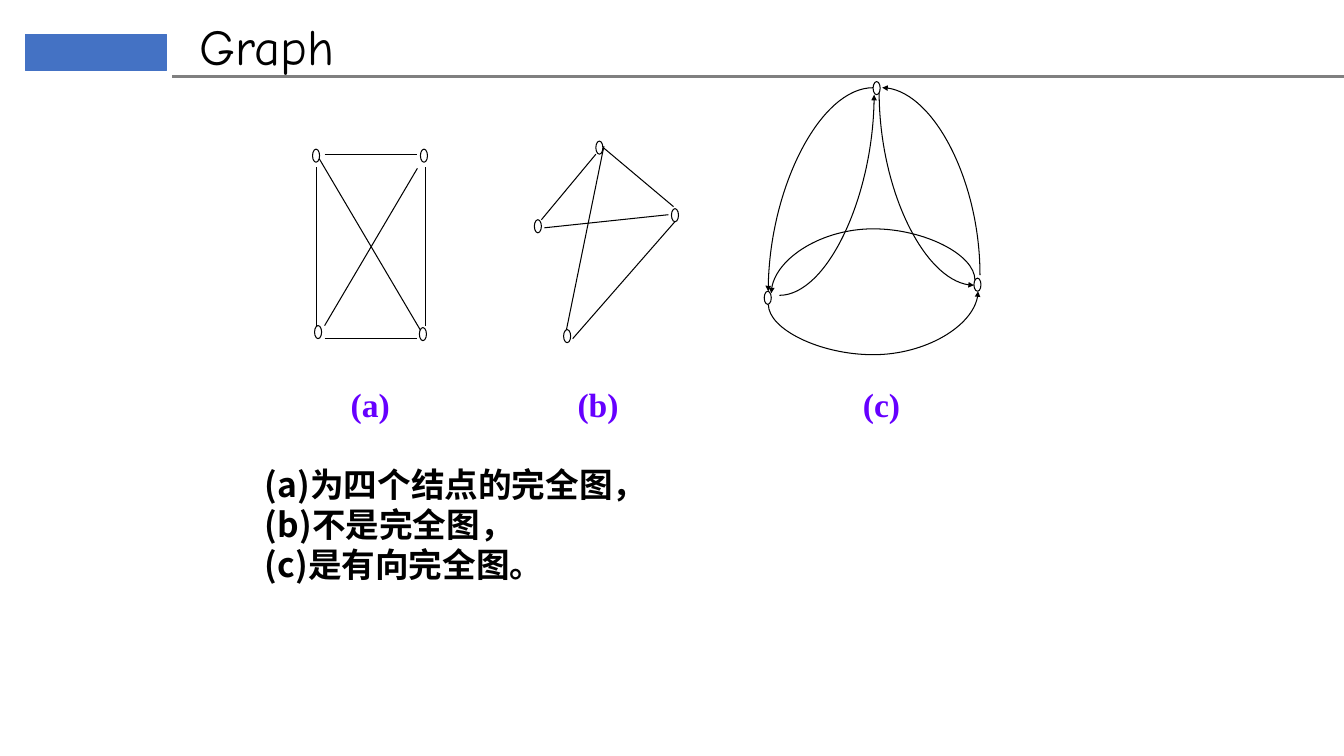
from collections import namedtuple

from lxml import etree
from pptx import Presentation
from pptx.dml.color import RGBColor
from pptx.enum.shapes import MSO_CONNECTOR, MSO_SHAPE
from pptx.enum.text import PP_ALIGN
from pptx.oxml.ns import qn
from pptx.util import Pt

STRAIGHT, CURVE = MSO_CONNECTOR.STRAIGHT, MSO_CONNECTOR.CURVE
OVAL, RECTANGLE = MSO_SHAPE.OVAL, MSO_SHAPE.RECTANGLE
LEFT, JUSTIFY = PP_ALIGN.LEFT, PP_ALIGN.JUSTIFY
PX = 9144
NODE_WIDTH, NODE_HEIGHT = 7, 13

Box = namedtuple("Box", "left top width height")
Graph = namedtuple("Graph", "box label label_box nodes edges arcs loops")


class Theme:
    """Colours, line widths and text formats of the slide."""

    ink = RGBColor(0x00, 0x00, 0x00)
    paper = RGBColor(0xFF, 0xFF, 0xFF)
    rule = RGBColor(0x80, 0x80, 0x80)
    blue = RGBColor(0x44, 0x72, 0xC4)
    violet = RGBColor(0x66, 0x00, 0xFF)
    thin, thick = Pt(0.75), Pt(2)
    title = {"name": "Comic Neue", "size": Pt(36), "bold": False}
    label = {"name": "Times New Roman", "size": Pt(24), "bold": True}
    body = {"name": "Noto Sans CJK SC", "size": Pt(24), "bold": True}


GRAPHS = [
    Graph(
        Box(310, 148, 114, 190), "(a)", Box(28, 228, 59, 50),
        nodes=[(0, 0), (107, 0), (2, 175), (106, 177)],
        edges=[(12, 5, 104, 5), (4, 18, 4, 175), (12, 188, 104, 188),
               (112, 18, 112, 175), (4, 5, 112, 188), (12, 175, 104, 19)],
        arcs=[], loops=[],
    ),
    Graph(
        Box(530, 140, 143, 200), "(b)", Box(33, 236, 61, 50),
        nodes=[(61, 0), (136, 67), (0, 78), (29, 187)],
        edges=[(7, 78, 61, 13), (69, 7, 138, 65), (10, 86, 133, 73),
               (142, 77, 38, 196), (69, 5, 30, 196)],
        arcs=[], loops=[],
    ),
    Graph(
        Box(758, 81, 215, 271), "(c)", Box(88, 295, 57, 50),
        nodes=[(108, 0), (208, 195), (0, 208)],
        edges=[],
        arcs=[(108, 6, 4, 208, "tailEnd"), (117, 6, 214, 192, "headEnd"),
              (15, 212, 109, 13, "tailEnd"), (208, 202, 114, 10, "headEnd")],
        loops=[(4, 221, 212, 208, 50), (209, 197, 7, 210, 51)],
    ),
]

STATEMENTS = ["(a)为四个结点的完全图，", "(b)不是完全图，", "(c)是有向完全图。"]


def add_text(slide, box, lines, font, color, wrap=True, align=LEFT):
    """Add a text box with one paragraph per line."""
    frame = slide.shapes.add_textbox(*(value * PX for value in box)).text_frame
    frame.word_wrap = wrap
    frame.text = "\n".join(lines)
    for paragraph in frame.paragraphs:
        paragraph.alignment = align
        run = paragraph.runs[0]
        for name, value in font.items():
            setattr(run.font, name, value)
        run.font.color.rgb = color
        etree.SubElement(run.font._element, qn("a:ea"), typeface=font["name"])


def add_line(slide, kind, points, color=Theme.ink, width=Theme.thin, arrow=None):
    """Add a connector, with a triangle at the named end if there is one."""
    line = slide.shapes.add_connector(kind, *(round(value * PX) for value in points))
    line.line.color.rgb = color
    line.line.width = width
    if arrow:
        etree.SubElement(line.line._get_or_add_ln(), qn(f"a:{arrow}"),
                         type="triangle", w="sm", len="sm")
    etree.SubElement(line._element.spPr, qn("a:effectLst"))
    return line


def add_arc(slide, points, arrow):
    """Add a quarter curve that leaves its first point horizontally."""
    arc = add_line(slide, CURVE, points, arrow=arrow)
    arc._element.spPr.find(qn("a:prstGeom")).set("prst", "curvedConnector2")


def add_loop(slide, points, bulge):
    """Add a directed curve that bulges past both ends vertically."""
    start_x, start_y, end_x, end_y = points
    middle_x, middle_y = (start_x + end_x) / 2, (start_y + end_y) / 2
    across, rise = abs(end_x - start_x) / 2, abs(end_y - start_y) / 2
    turned = (middle_x + rise, middle_y + across, middle_x - rise, middle_y - across)
    loop = add_line(slide, CURVE, turned, arrow="tailEnd")
    properties = loop._element.spPr
    angle = 90 if end_x > start_x else 270
    properties.find(qn("a:xfrm")).set("rot", str(angle * 60000))
    guides = properties.find(qn("a:prstGeom")).find(qn("a:avLst"))
    ratio = round(-bulge / (2 * rise) * 100000)
    etree.SubElement(guides, qn("a:gd"), name="adj1", fmla=f"val {ratio}")


def add_filled_shape(slide, kind, box, fill, outline):
    """Add a flat preset shape with a thin outline."""
    shape = slide.shapes.add_shape(kind, *(value * PX for value in box))
    shape.shadow.inherit = False
    shape.fill.solid()
    shape.fill.fore_color.rgb = fill
    shape.line.color.rgb = outline
    shape.line.width = Theme.thin


def add_header(slide, box):
    """Place the corner block, the title and the rule in the header box."""
    left, top, width, _ = box
    add_filled_shape(slide, RECTANGLE, Box(left + 25, top + 34, 140, 36),
                     Theme.blue, Theme.blue)
    add_line(slide, STRAIGHT, (left + 171, top + 76, left + width, top + 76),
             Theme.rule, Theme.thick)
    add_text(slide, Box(left + 188, top + 10, 862, 71), ["Graph"],
             Theme.title, Theme.ink)


def add_graph(slide, graph):
    """Place the edges, vertices and label of one graph in its box."""
    left, top = graph.box.left, graph.box.top

    def shift(points):
        """Move pairs of coordinates into the box."""
        return [value + (top if index % 2 else left)
                for index, value in enumerate(points)]

    for edge in graph.edges:
        add_line(slide, STRAIGHT, shift(edge))
    for *points, bulge in graph.loops:
        add_loop(slide, shift(points), bulge)
    for *points, arrow in graph.arcs:
        add_arc(slide, shift(points), arrow)
    for node in graph.nodes:
        add_filled_shape(slide, OVAL, Box(*shift(node), NODE_WIDTH, NODE_HEIGHT),
                         Theme.paper, Theme.ink)
    label_left, label_top, width, height = graph.label_box
    add_text(slide, Box(left + label_left, top + label_top, width, height),
             [graph.label], Theme.label, Theme.violet, wrap=False)


def add_statements(slide, box):
    """Place the statements about the graphs in their box."""
    add_text(slide, box, STATEMENTS, Theme.body, Theme.ink, align=JUSTIFY)


def main():
    """Build and save the slide."""
    presentation = Presentation()
    presentation.slide_width = 1333 * PX
    presentation.slide_height = 750 * PX
    slide = presentation.slides.add_slide(presentation.slide_layouts[6])
    add_header(slide, Box(0, 0, 1333, 87))
    for graph in GRAPHS:
        add_graph(slide, graph)
    add_statements(slide, Box(253, 455, 827, 241))
    presentation.save("out.pptx")


if __name__ == "__main__":
    main()
